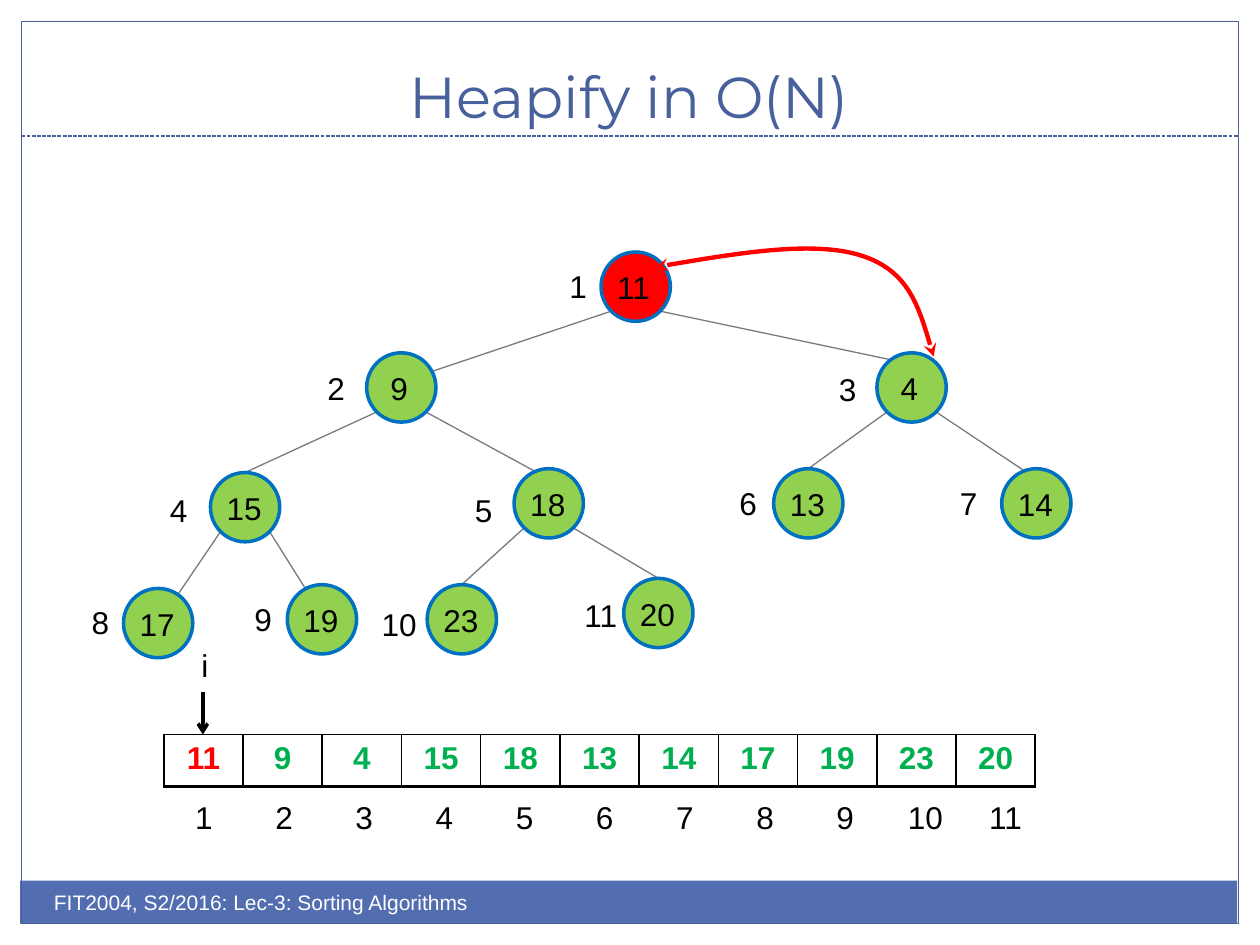
from lxml import etree
from pptx import Presentation, util as u
from pptx.dml.color import RGBColor
from pptx.enum import dml, shapes, text
from pptx.oxml import parse_xml
from pptx.oxml.ns import nsdecls, qn

BLACK = RGBColor(0x00, 0x00, 0x00)
WHITE = RGBColor(0xFF, 0xFF, 0xFF)
NAVY = RGBColor(0x48, 0x60, 0x9B)
BAR = RGBColor(0x52, 0x6D, 0xB0)
RED = RGBColor(0xFF, 0x00, 0x00)
LIME = RGBColor(0x92, 0xD0, 0x50)
GREEN = RGBColor(0x00, 0xB0, 0x50)
BLUE = RGBColor(0x00, 0x70, 0xC0)
GREY = RGBColor(0x7A, 0x7A, 0x7A)

deck = Presentation()
deck.slide_width, deck.slide_height = u.Inches(10), u.Inches(7.5)
col, row = deck.slide_width / 100, deck.slide_height / 75
slide = deck.slides.add_slide(deck.slide_layouts[5])
tree = slide.shapes


def grid(*cells):
    return [round(c * (row if i % 2 else col)) for i, c in enumerate(cells)]


def write(frame, words, hue=BLACK, align=None, **form):
    para = frame.paragraphs[0]
    para.text, para.alignment = words, align
    font = para.runs[0].font
    for key, val in {"name": "Arial", "size": u.Pt(18), **form}.items():
        setattr(font, key, val)
    font.color.rgb = hue


title = tree.title
for key, val in zip(("left", "top", "width", "height"), grid(3.3, 2.5, 93.3, 8.3)):
    setattr(title, key, val)
title.text_frame.vertical_anchor = text.MSO_ANCHOR.BOTTOM
write(title.text_frame, "Heapify in O(N)", NAVY, text.PP_ALIGN.CENTER,
      name="Montserrat", size=u.Pt(33))

for place, fill, edge in [((1.6, 69.9, 96.6, 3.4), BAR, None),
                          ((1.7, 1.7, 96.6, 71.6), None, NAVY)]:
    rect = tree.add_shape(shapes.MSO_SHAPE.RECTANGLE, *grid(*place))
    rect.shadow.inherit = False
    if fill:
        rect.fill.solid()
        rect.fill.fore_color.rgb = fill
        rect.line.fill.background()
    else:
        rect.fill.background()
        rect.line.color.rgb = edge
        rect.line.width = u.Pt(0.75)

foot = tree.add_textbox(*grid(3.3, 70.1, 50, 4)).text_frame
foot.word_wrap = True
write(foot, "FIT2004, S2/2016: Lec-3: Sorting Algorithms", WHITE, size=u.Pt(12))

# value, node left and top, edge drop into node, label left and top
heap = [
    (11, 47.7, 20, 0, 44.2, 20.7),
    (9, 29.1, 28, 2.3, 25, 28.8),
    (4, 69.6, 28, 0.9, 65.6, 28.9),
    (15, 16.7, 37.5, 0, 12.5, 38.5),
    (18, 40.8, 37.2, 0.8, 36.7, 38.5),
    (13, 61.4, 37.2, 0, 57.7, 37.9),
    (14, 79.5, 37.2, 0.8, 75.2, 37.9),
    (17, 9.8, 46.7, 2.8, 6.3, 47.4),
    (19, 22.8, 46.4, 2.4, 19.2, 47.1),
    (23, 33.9, 46.4, 0, 29.3, 47.5),
    (20, 49.5, 45.9, 0, 45.4, 46.8),
]
disc, mid, diag = 5.5, 2.75, 1.95

lines = [((1.7, 10.8, 98.3, 10.8), NAVY, 0.75), ((16.1, 54.9, 16.1, 58.3), BLACK, 2)]
for kid in range(1, len(heap)):
    top = heap[(kid - 1) // 2]
    side = diag if kid % 2 == 0 else -diag
    ends = (top[1] + mid + side, top[2] + mid + diag,
            heap[kid][1] + mid, heap[kid][2] + heap[kid][3])
    lines.append((ends, GREY, 0.75))
links = []
for ends, hue, wide in lines:
    link = tree.add_connector(shapes.MSO_CONNECTOR.STRAIGHT, *grid(*ends))
    link.line.color.rgb = hue
    link.line.width = u.Pt(wide)
    etree.SubElement(link._element.spPr, qn("a:effectLst"))
    links.append(link)
links[0].line.dash_style = dml.MSO_LINE.SQUARE_DOT
etree.SubElement(links[1].line._get_or_add_ln(), qn("a:tailEnd"), type="arrow")

notes = [(tree, "i", 15, 50.8, 2.6)]
for spot, (val, x, y, drop, left, high) in enumerate(heap, 1):
    node = tree.add_group_shape().shapes
    ring = node.add_shape(shapes.MSO_SHAPE.OVAL, *grid(x, y, disc, disc))
    ring.shadow.inherit = False
    ring.fill.solid()
    ring.fill.fore_color.rgb = RED if spot == 1 else LIME
    ring.line.color.rgb = BLUE
    ring.line.width = u.Pt(2)
    notes.append((node, str(val), x + (0.9 if val < 10 else 0.3), y + 0.8,
                  3.4 if val < 10 else 4.8))
    notes.append((tree, str(spot), left, high, 3.4 if spot < 10 else 4.8))
for home, words, x, y, wide in notes:
    frame = home.add_textbox(*grid(x, y, wide, 4)).text_frame
    frame.word_wrap = False
    write(frame, words)

vals = [node[0] for node in heap]
for items, top, wide, boxed in [(vals, 58.3, 69.2, True),
                                (range(1, len(vals) + 1), 63.1, 70, False)]:
    table = tree.add_table(1, len(vals), *grid(13, top, wide, 4.1)).table
    table.first_row = table.horz_banding = False
    for spot, item in enumerate(items):
        cell = table.cell(0, spot)
        hue = BLACK if not boxed else GREEN if spot else RED
        write(cell.text_frame, str(item), hue, text.PP_ALIGN.CENTER, bold=boxed)
        for side in "LRTB" if boxed else "":
            cell._tc.get_or_add_tcPr().append(parse_xml(
                f'<a:ln{side} {nsdecls("a")} w="{u.Pt(2 if side == "B" else 1)}">'
                f'<a:solidFill><a:srgbClr val="{BLACK}"/></a:solidFill></a:ln{side}>'))
        cell.fill.background()

swap = [(74.1, 28.3), (73.1, 24.9), (72.1, 21.5), (68.4, 20.3),
        (64.7, 19.1), (58.4, 20.1), (52, 21.2)]
dots = [grid(*dot) for dot in swap]
pen = tree.build_freeform(*dots[0])
pen.add_line_segments(dots[1:], close=False)
arc = pen.convert_to_shape()
legs = list(arc._element.iter(qn("a:lnTo")))
for i in range(0, len(legs), 3):
    bend = etree.Element(qn("a:cubicBezTo"))
    legs[i].addprevious(bend)
    for leg in legs[i:i + 3]:
        bend.append(leg[0])
        leg.getparent().remove(leg)
arc.shadow.inherit = False
arc.fill.background()
arc.line.color.rgb = RED
arc.line.width = u.Pt(2.5)
for end in ("a:headEnd", "a:tailEnd"):
    etree.SubElement(arc.line._get_or_add_ln(), qn(end), type="stealth")

deck.save("out.pptx")
